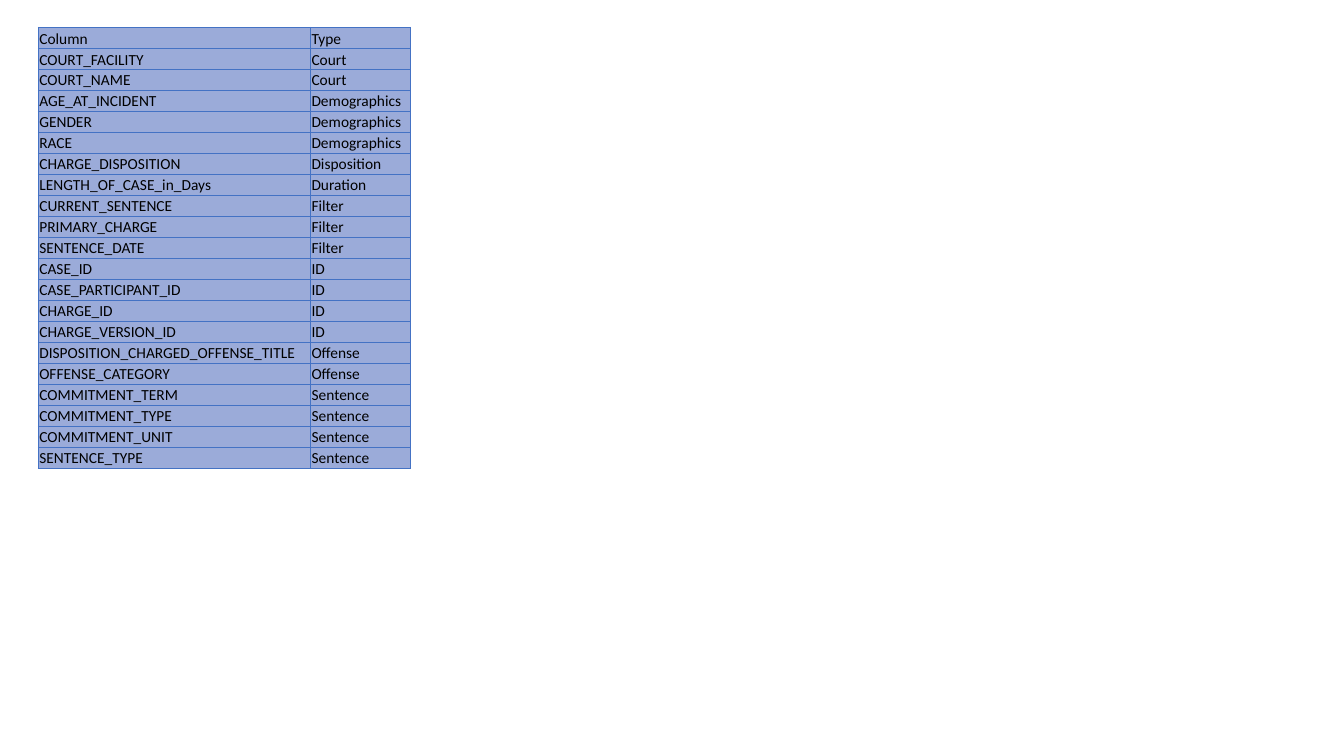
import pptx
import pptx.util
import pptx.dml.color
import pptx.enum.text
import pptx.oxml
import pptx.oxml.ns
from dataclasses import dataclass
from lxml import etree

HEADINGS = ("Column", "Type")
COLUMNS_BY_TYPE = {
    "Court": ("COURT_FACILITY", "COURT_NAME"),
    "Demographics": ("AGE_AT_INCIDENT", "GENDER", "RACE"),
    "Disposition": ("CHARGE_DISPOSITION",),
    "Duration": ("LENGTH_OF_CASE_in_Days",),
    "Filter": ("CURRENT_SENTENCE", "PRIMARY_CHARGE", "SENTENCE_DATE"),
    "ID": ("CASE_ID", "CASE_PARTICIPANT_ID", "CHARGE_ID", "CHARGE_VERSION_ID"),
    "Offense": ("DISPOSITION_CHARGED_OFFENSE_TITLE", "OFFENSE_CATEGORY"),
    "Sentence": ("COMMITMENT_TERM", "COMMITMENT_TYPE", "COMMITMENT_UNIT", "SENTENCE_TYPE"),
}


@dataclass(frozen=True)
class Theme:
    font: str = "Calibri"
    size: float = 11
    ink: str = "000000"
    fill: str = "9BABD9"
    border: str = "4472C4"
    border_width: float = 0.5


THEME = Theme()
Inches = pptx.util.Inches
Pt = pptx.util.Pt
rgb = pptx.dml.color.RGBColor.from_string


def draw_borders(cell):
    properties = cell._tc.get_or_add_tcPr()
    for side in ("lnL", "lnR", "lnT", "lnB"):
        line = etree.SubElement(properties, pptx.oxml.ns.qn(f"a:{side}"), w=str(Pt(THEME.border_width)))
        paint = etree.SubElement(line, pptx.oxml.ns.qn("a:solidFill"))
        etree.SubElement(paint, pptx.oxml.ns.qn("a:srgbClr"), val=THEME.border)


def write_cell(cell, words):
    draw_borders(cell)
    cell.fill.solid()
    cell.fill.fore_color.rgb = rgb(THEME.fill)
    cell.vertical_anchor = pptx.enum.text.MSO_ANCHOR.BOTTOM
    cell.margin_left = cell.margin_right = cell.margin_top = Inches(0.01)
    cell.margin_bottom = 0
    run = cell.text_frame.paragraphs[0].add_run()
    run.text = words
    run.font.name = THEME.font
    run.font.size = Pt(THEME.size)
    run.font.color.rgb = rgb(THEME.ink)


deck = pptx.Presentation()
deck.slide_width = Inches(13.33)
deck.slide_height = Inches(7.5)
slide = deck.slides.add_slide(deck.slide_layouts[6])

entries = [HEADINGS] + [(name, kind) for kind, names in COLUMNS_BY_TYPE.items() for name in names]
widths = (2.7, 0.99)
dictionary = slide.shapes.add_table(
    len(entries), len(HEADINGS), Inches(0.38), Inches(0.27), Inches(sum(widths)), Inches(4.38)
).table
dictionary.first_row = False
dictionary.horz_banding = False

for column, width in zip(dictionary.columns, widths):
    column.width = Inches(width)
for row, entry in zip(dictionary.rows, entries):
    for cell, words in zip(row.cells, entry):
        write_cell(cell, words)

deck.save("out.pptx")
